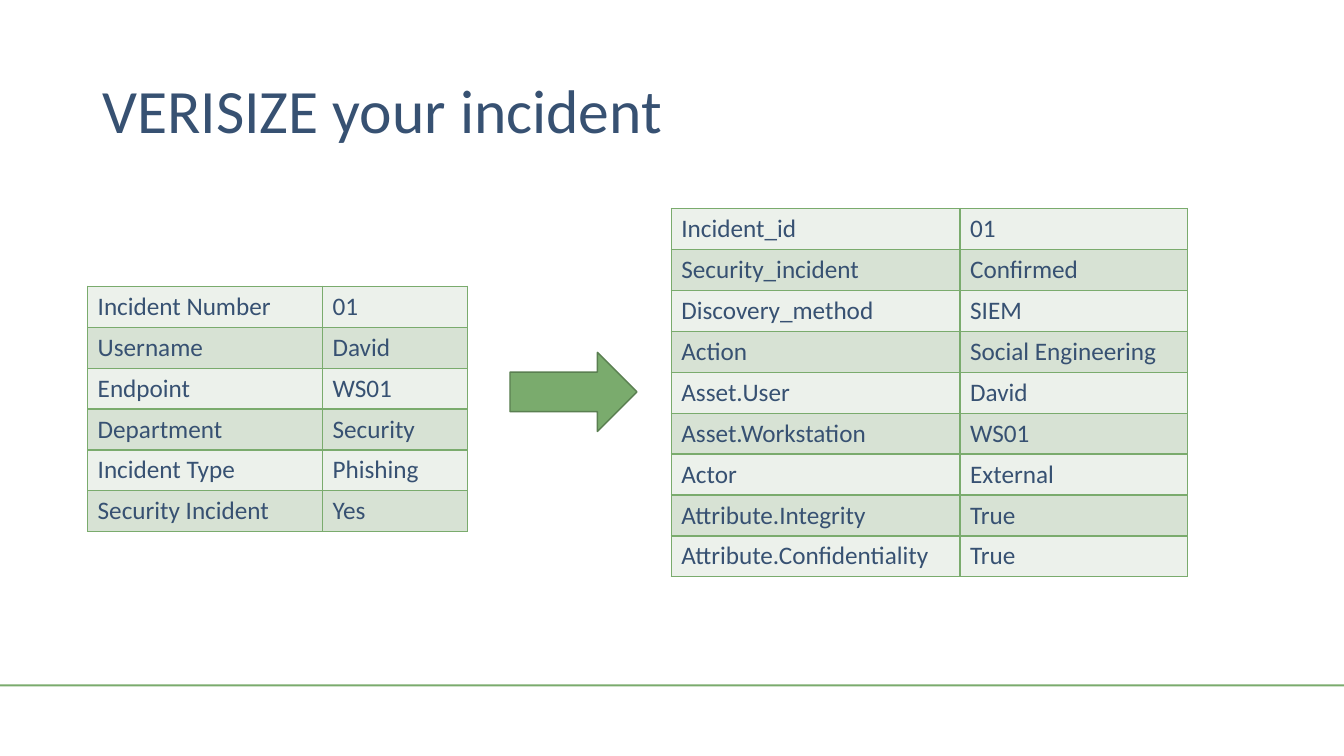
"""Build a slide that maps an incident record to VERIS fields."""
import dataclasses

import lxml.etree
import pptx
import pptx.dml.color
import pptx.dml.fill
import pptx.enum.shapes
import pptx.enum.text
import pptx.oxml.ns
import pptx.slide
import pptx.text.text
import pptx.util

Pt = pptx.util.Pt
Shapes = pptx.enum.shapes.MSO_SHAPE

FONT = "Calibri"
NAVY = "375172"
GREEN = "7AAB6D"
DARK_GREEN = "5A7F51"
BANDS = ("ECF1EB", "D7E2D4")
ROW_HEIGHT = 29.25


@dataclasses.dataclass(frozen=True)
class FieldTable:
    left: float
    top: float
    widths: tuple[float, float]
    rows: tuple[tuple[str, str], ...]


@dataclasses.dataclass(frozen=True)
class Block:
    kind: Shapes
    left: float
    top: float
    width: float
    height: float
    outline: str | None = None


RULE = Block(Shapes.RECTANGLE, 0, 488.9, 960, 1.4)
ARROW = Block(Shapes.RIGHT_ARROW, 364.3, 251.7, 90.7, 56.5, DARK_GREEN)

TABLES = (
    FieldTable(62.6, 204.5, (167.8, 103.7), (
        ("Incident Number", "01"),
        ("Username", "David"),
        ("Endpoint", "WS01"),
        ("Department", "Security"),
        ("Incident Type", "Phishing"),
        ("Security Incident", "Yes"),
    )),
    FieldTable(479.5, 149, (206.3, 162.4), (
        ("Incident_id", "01"),
        ("Security_incident", "Confirmed"),
        ("Discovery_method", "SIEM"),
        ("Action", "Social Engineering"),
        ("Asset.User", "David"),
        ("Asset.Workstation", "WS01"),
        ("Actor", "External"),
        ("Attribute.Integrity", "True"),
        ("Attribute.Confidentiality", "True"),
    )),
)


def paint(fill: pptx.dml.fill.FillFormat, color: str) -> None:
    fill.solid()
    fill.fore_color.rgb = pptx.dml.color.RGBColor.from_string(color)


def write(frame: pptx.text.text.TextFrame, text: str, size: float) -> None:
    frame.text = text
    font = frame.paragraphs[0].runs[0].font
    font.name = FONT
    font.size = Pt(size)
    paint(font.fill, NAVY)


def add_borders(cell, color: str) -> None:
    properties = cell._tc.get_or_add_tcPr()
    qn = pptx.oxml.ns.qn
    for side in ("a:lnL", "a:lnR", "a:lnT", "a:lnB"):
        line = lxml.etree.SubElement(properties, qn(side), w=str(Pt(1)))
        solid = lxml.etree.SubElement(line, qn("a:solidFill"))
        lxml.etree.SubElement(solid, qn("a:srgbClr"), val=color)


def add_title(page: pptx.slide.Slide, text: str) -> None:
    box = page.shapes.add_textbox(Pt(66), Pt(28.8), Pt(828), Pt(104.4))
    frame = box.text_frame
    frame.word_wrap = True
    frame.vertical_anchor = pptx.enum.text.MSO_ANCHOR.MIDDLE
    write(frame, text, 44)
    frame.paragraphs[0].line_spacing = 0.9


def add_block(page: pptx.slide.Slide, block: Block) -> None:
    shape = page.shapes.add_shape(
        block.kind, Pt(block.left), Pt(block.top), Pt(block.width), Pt(block.height))
    shape.shadow.inherit = False
    paint(shape.fill, GREEN)
    if block.outline:
        paint(shape.line.fill, block.outline)
        shape.line.width = Pt(1)
    else:
        shape.line.fill.background()


def add_field_table(page: pptx.slide.Slide, fields: FieldTable) -> None:
    count = len(fields.rows)
    table = page.shapes.add_table(
        count, len(fields.widths), Pt(fields.left), Pt(fields.top),
        Pt(sum(fields.widths)), Pt(count * ROW_HEIGHT)).table
    table.first_row = False
    for column, width in zip(table.columns, fields.widths):
        column.width = Pt(width)
    for index, (row, texts) in enumerate(zip(table.rows, fields.rows)):
        row.height = Pt(ROW_HEIGHT)
        for cell, text in zip(row.cells, texts):
            write(cell.text_frame, text, 18)
            add_borders(cell, GREEN)
            paint(cell.fill, BANDS[index % 2])


def main() -> None:
    deck = pptx.Presentation()
    deck.slide_width, deck.slide_height = Pt(960), Pt(540)
    page = deck.slides.add_slide(deck.slide_layouts[6])
    paint(page.background.fill, "FFFFFF")
    add_block(page, RULE)
    add_title(page, "VERISIZE your incident")
    for fields in TABLES:
        add_field_table(page, fields)
    add_block(page, ARROW)
    deck.save("out.pptx")


if __name__ == "__main__":
    main()
